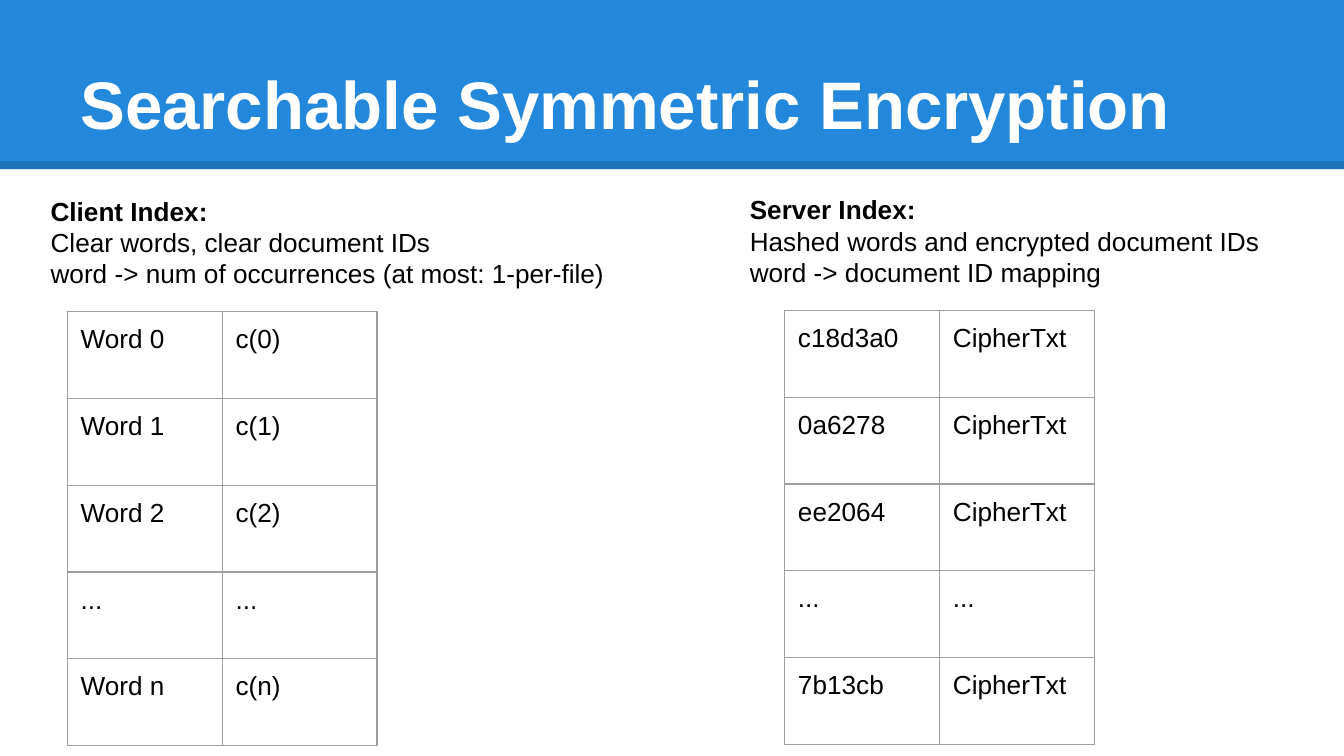
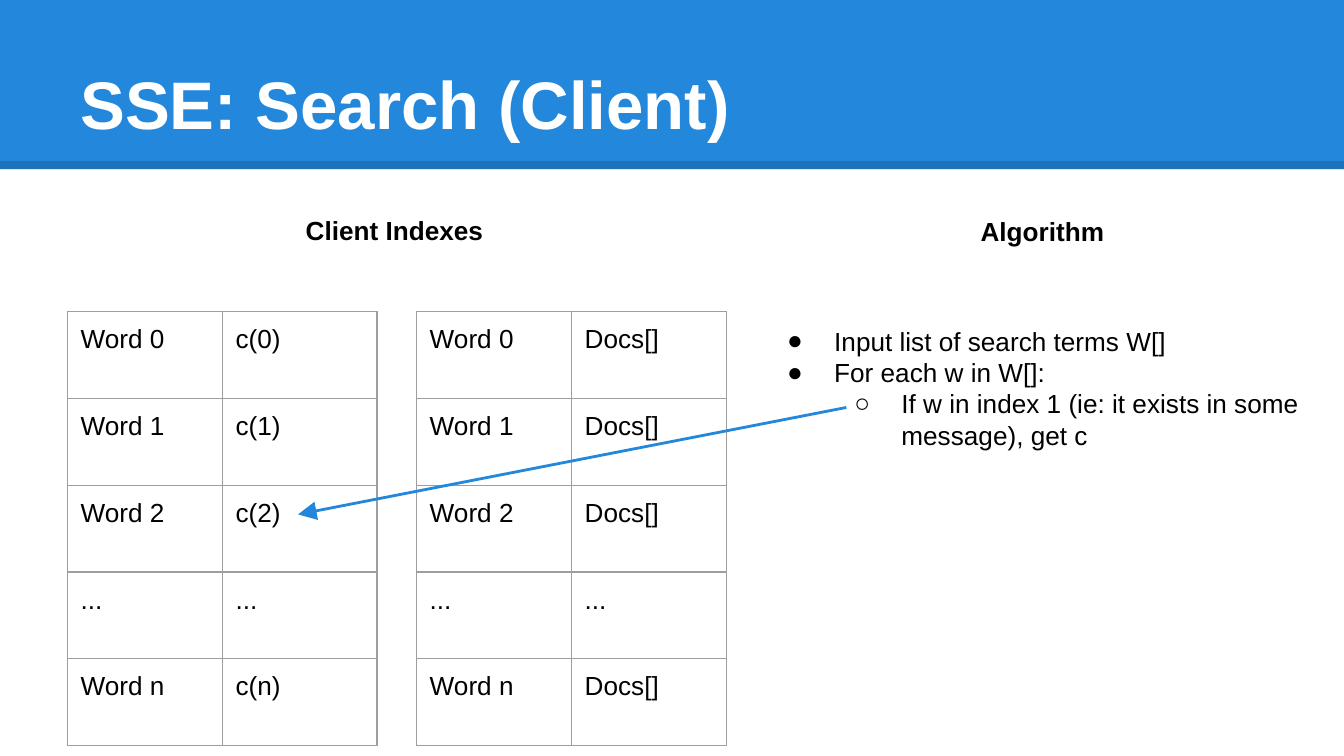
from lxml.etree import SubElement as add_element
from pptx import Presentation
from pptx.dml.color import RGBColor
from pptx.enum.shapes import MSO_CONNECTOR as Connector, MSO_SHAPE as Preset
from pptx.enum.text import MSO_ANCHOR as Anchor
from pptx.oxml.ns import qn
from pptx.util import Pt

COLORS = {
    "band": "2388DB",
    "title": "FFFFFF",
    "text": "000000",
    "shade": "000000",
    "border": "9E9E9E",
}
TITLE = {"name": "Arial", "size": Pt(36), "bold": True}
HEADING = {"name": "Arial", "size": Pt(14), "bold": True}
BODY = {"name": "Arial", "size": Pt(14), "bold": False}

INSET = 7.2
COLUMN_WIDTH = 83
ROW_HEIGHT = 46.5
BULLET_STEP = 36
BULLET_HANG = 25.2
BULLETS = ["●", "○"]

WORDS = ["Word 0", "Word 1", "Word 2", "...", "Word n"]
COUNTS = ["c(0)", "c(1)", "c(2)", "...", "c(n)"]
DOCUMENTS = ["Docs[]"] * 3 + ["...", "Docs[]"]
HASHES = ["c18d3a0", "0a6278", "ee2064", "...", "7b13cb"]
CIPHERS = ["CipherTxt"] * 3 + ["...", "CipherTxt"]


def color(name):
    return RGBColor.from_string(COLORS[name])


def points(*lengths):
    return [Pt(length) for length in lengths]


def set_insets(target):
    for side in ("left", "top", "right", "bottom"):
        setattr(target, f"margin_{side}", Pt(INSET))


def write(paragraph, text, style, ink="text"):
    run = paragraph.add_run()
    run.text = text
    for attribute, value in style.items():
        setattr(run.font, attribute, value)
    run.font.color.rgb = color(ink)


def add_bullet(paragraph, level):
    paragraph.level = level
    properties = paragraph._p.get_or_add_pPr()
    properties.set("marL", str(Pt(BULLET_STEP * (level + 1))))
    properties.set("indent", str(Pt(-BULLET_HANG)))
    bullet_color = add_element(properties, qn("a:buClr"))
    add_element(bullet_color, qn("a:srgbClr"), val=COLORS["text"])
    add_element(properties, qn("a:buFont"), typeface="Arial")
    add_element(properties, qn("a:buChar"), char=BULLETS[level])


def add_text(slide, box, lines, ink="text", anchor=Anchor.TOP):
    frame = slide.shapes.add_textbox(*points(*box)).text_frame
    frame.word_wrap = True
    frame.vertical_anchor = anchor
    set_insets(frame)
    for index, (text, style, *level) in enumerate(lines):
        paragraph = frame.add_paragraph() if index else frame.paragraphs[0]
        if level:
            add_bullet(paragraph, level[0])
        write(paragraph, text, style, ink)


def add_line(slide, start, end, ink, width):
    line = slide.shapes.add_connector(Connector.STRAIGHT, *points(*start, *end))
    line.line.color.rgb = color(ink)
    line.line.width = Pt(width)
    add_element(line._element.spPr, qn("a:effectLst"))
    return line


def add_arrow(slide, start, end):
    arrow = add_line(slide, start, end, "band", 1.5)
    add_element(arrow.line._get_or_add_ln(), qn("a:tailEnd"),
                type="triangle", w="lg", len="lg")


def add_borders(cell):
    properties = cell._tc.get_or_add_tcPr()
    for index, side in enumerate("LRTB"):
        border = add_element(properties, qn(f"a:ln{side}"), w=str(Pt(0.75)))
        fill = add_element(border, qn("a:solidFill"))
        add_element(fill, qn("a:srgbClr"), val=COLORS["border"])
        properties.insert(index, border)


def add_index_table(slide, left, top, keys, values):
    rows = list(zip(keys, values))
    box = points(left, top, 2 * COLUMN_WIDTH, len(rows) * ROW_HEIGHT)
    table = slide.shapes.add_table(len(rows), 2, *box).table
    table.first_row = table.horz_banding = False
    for row, texts in zip(table.rows, rows):
        for cell, text in zip(row.cells, texts):
            set_insets(cell)
            cell.fill.background()
            add_borders(cell)
            write(cell.text_frame.paragraphs[0], text, BODY)


def add_header(slide, box, title):
    left, top, width, height = box
    band = slide.shapes.add_shape(Preset.RECTANGLE, *points(*box))
    band.shadow.inherit = False
    band.fill.solid()
    band.fill.fore_color.rgb = color("band")
    band.line.fill.background()
    rule_top = top + height - 2.2
    rule = add_line(slide, (left, rule_top), (left + width, rule_top), "shade", 4.5)
    shade = rule.line._get_or_add_ln().find(".//" + qn("a:srgbClr"))
    add_element(shade, qn("a:alpha"), val="15000")
    add_text(slide, (left + 36, top + 16.5, width - 72, 67.5),
             [(title, TITLE)], "title", Anchor.BOTTOM)


def add_titled_slide(presentation, title):
    slide = presentation.slides.add_slide(presentation.slide_layouts[6])
    add_header(slide, (0, 0, 720, 90.7), title)
    return slide


def add_overview_slide(presentation):
    slide = add_titled_slide(presentation, "Searchable Symmetric Encryption")
    add_index_table(slide, 36, 167, WORDS, COUNTS)
    add_index_table(slide, 420.3, 166.3, HASHES, CIPHERS)
    add_text(slide, (20, 97.3, 337.7, 41), [
        ("Client Index:", HEADING),
        ("Clear words, clear document IDs", BODY),
        ("word -> num of occurrences (at most: 1-per-file)", BODY),
    ])
    add_text(slide, (394.6, 96.5, 288, 57), [
        ("Server Index:", HEADING),
        ("Hashed words and encrypted document IDs word -> document ID mapping", BODY),
    ])


def add_search_slide(presentation):
    slide = add_titled_slide(presentation, "SSE: Search (Client)")
    add_index_table(slide, 36, 167, WORDS, COUNTS)
    add_text(slide, (156.7, 107.8, 298.8, 41), [("Client Indexes", HEADING)])
    add_text(slide, (403.8, 167, 308.2, 232.6), [
        ("Input list of search terms W[]", BODY, 0),
        ("For each w in W[]:", BODY, 0),
        ("If w in index 1 (ie: it exists in some message), get c", BODY, 1),
    ])
    add_index_table(slide, 223, 167, WORDS, DOCUMENTS)
    add_text(slide, (518.2, 108.2, 85, 34.6), [("Algorithm", HEADING)])
    add_arrow(slide, (453.4, 218.3), (159.7, 275.6))


def main():
    presentation = Presentation()
    presentation.slide_width, presentation.slide_height = points(720, 405)
    add_overview_slide(presentation)
    add_search_slide(presentation)
    presentation.save("out.pptx")


if __name__ == "__main__":
    main()
